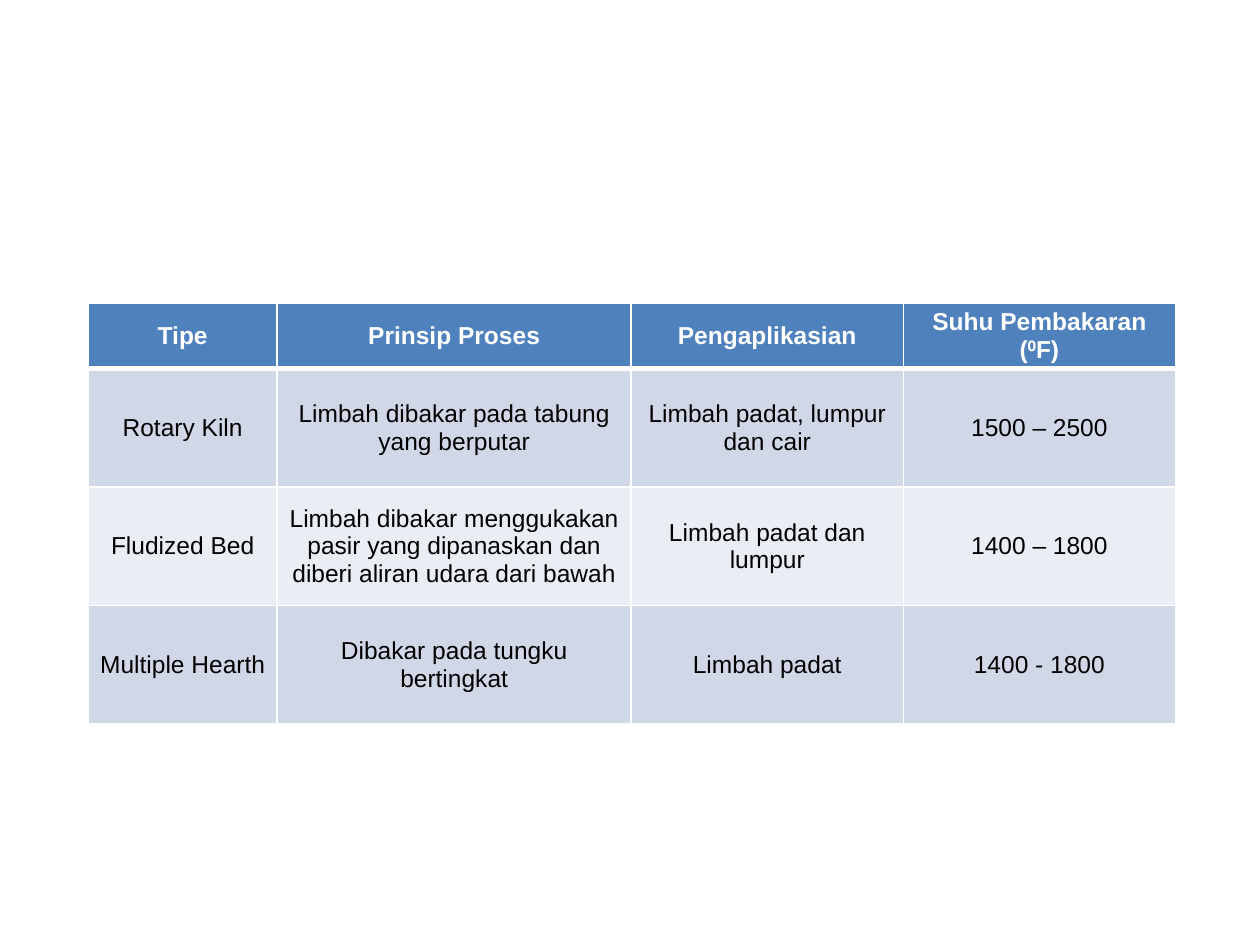
import dataclasses

import lxml.etree
import pptx
import pptx.dml.color
import pptx.enum.text
import pptx.oxml.ns
import pptx.util

Inches = pptx.util.Inches


@dataclasses.dataclass(frozen=True)
class Theme:
    font: str = "Arial"
    text_size: int = 14
    header_text: str = "FFFFFF"
    body_text: str = "000000"
    header_fill: str = "4F81BD"
    band_fills: tuple = ("D0D8E8", "E9EDF4")
    border: str = "FFFFFF"
    thin_border: int = 1
    thick_border: int = 3


class SlideBuilder:
    def __init__(self, slide, theme):
        self.slide = slide
        self.theme = theme

    def add_table(self, left, top, column_widths, row_heights, rows):
        table = self.slide.shapes.add_table(
            len(rows), len(column_widths), Inches(left), Inches(top),
            Inches(sum(column_widths)), Inches(sum(row_heights))).table
        for column, width in zip(table.columns, column_widths):
            column.width = Inches(width)
        for row_index, (row, height) in enumerate(zip(table.rows, row_heights)):
            row.height = Inches(height)
            for cell, text in zip(row.cells, rows[row_index]):
                self.fill_cell(cell, text, row_index)

    def fill_cell(self, cell, text, row_index):
        theme = self.theme
        is_header = row_index == 0
        fill = theme.header_fill if is_header else theme.band_fills[(row_index - 1) % 2]
        cell.fill.solid()
        cell.fill.fore_color.rgb = pptx.dml.color.RGBColor.from_string(fill)
        cell.vertical_anchor = pptx.enum.text.MSO_ANCHOR.MIDDLE
        cell.margin_left = cell.margin_right = Inches(0.07)
        cell.margin_top = cell.margin_bottom = Inches(0.04)
        self.add_borders(cell, row_index)

        paragraph = cell.text_frame.paragraphs[0]
        paragraph.alignment = pptx.enum.text.PP_ALIGN.CENTER
        run = paragraph.add_run()
        run.text = text
        run.font.name = theme.font
        run.font.size = pptx.util.Pt(theme.text_size)
        run.font.bold = is_header
        run.font.color.rgb = pptx.dml.color.RGBColor.from_string(
            theme.header_text if is_header else theme.body_text)

    def add_borders(self, cell, row_index):
        """Thin lines all round, with a thick one between header and body."""
        theme = self.theme
        qn = pptx.oxml.ns.qn
        thick_side = {0: "B", 1: "T"}.get(row_index)
        properties = cell._tc.get_or_add_tcPr()
        for position, side in enumerate("LRTB"):
            width = theme.thick_border if side == thick_side else theme.thin_border
            line = lxml.etree.Element(qn(f"a:ln{side}"), w=str(pptx.util.Pt(width)))
            fill = lxml.etree.SubElement(line, qn("a:solidFill"))
            lxml.etree.SubElement(fill, qn("a:srgbClr"), val=theme.border)
            properties.insert(position, line)


def main():
    presentation = pptx.Presentation()
    presentation.slide_width = Inches(10)
    presentation.slide_height = Inches(7.5)
    slide = presentation.slides.add_slide(presentation.slide_layouts[6])
    builder = SlideBuilder(slide, Theme())
    incinerator_types = [
        ("Tipe", "Prinsip Proses", "Pengaplikasian", "Suhu Pembakaran (⁰F)"),
        ("Rotary Kiln", "Limbah dibakar pada tabung yang berputar",
         "Limbah padat, lumpur dan cair", "1500 – 2500"),
        ("Fludized Bed",
         "Limbah dibakar menggukakan pasir yang dipanaskan dan diberi aliran udara dari bawah",
         "Limbah padat dan lumpur", "1400 – 1800"),
        ("Multiple Hearth", "Dibakar pada tungku bertingkat",
         "Limbah padat", "1400 - 1800"),
    ]
    builder.add_table(0.7, 2.41, (1.5, 2.81, 2.16, 2.16),
                      (0.38, 0.94, 0.94, 0.94), incinerator_types)
    presentation.save("out.pptx")


if __name__ == "__main__":
    main()
